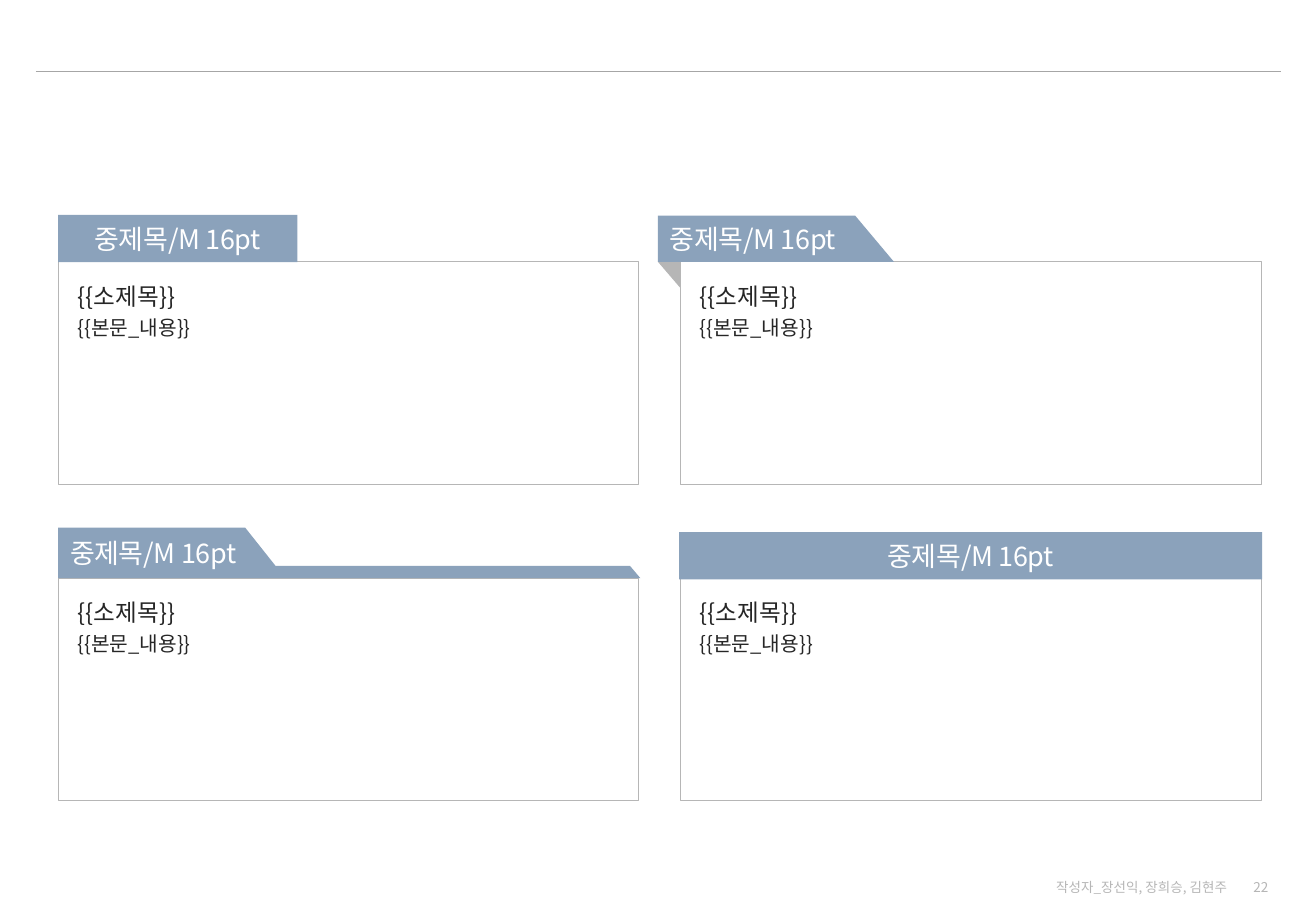
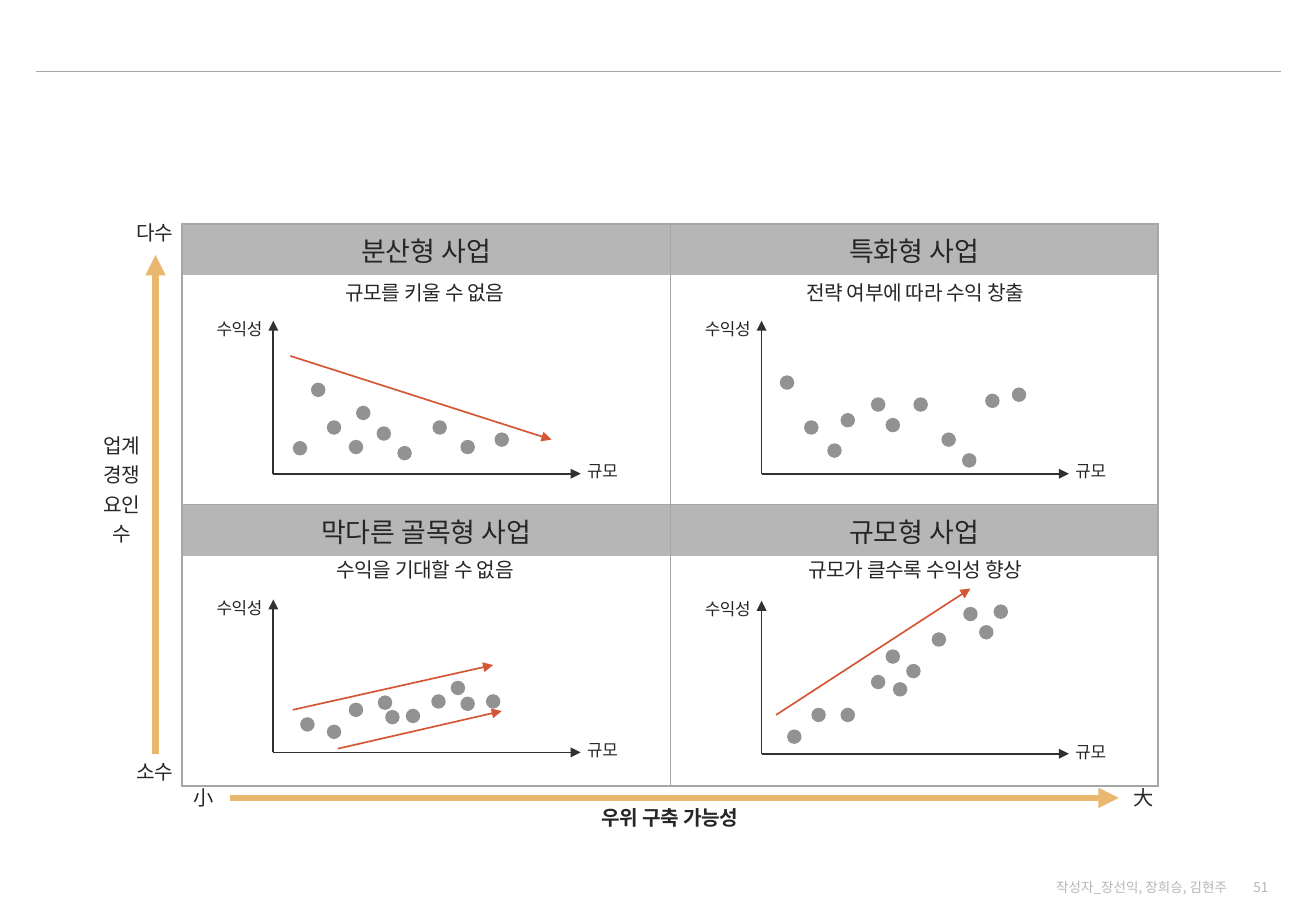
from lxml import etree
from pptx import Presentation
from pptx.dml.color import RGBColor
from pptx.enum.shapes import MSO_CONNECTOR, MSO_SHAPE
from pptx.enum.text import MSO_ANCHOR, PP_ALIGN
from pptx.oxml.ns import qn
from pptx.util import Pt

LEFT, CENTER, RIGHT = PP_ALIGN.LEFT, PP_ALIGN.CENTER, PP_ALIGN.RIGHT
TOP, MIDDLE = MSO_ANCHOR.TOP, MSO_ANCHOR.MIDDLE
RECTANGLE, OVAL = MSO_SHAPE.RECTANGLE, MSO_SHAPE.OVAL
STRAIGHT = MSO_CONNECTOR.STRAIGHT

FONT = "Noto Sans CJK KR"
INK, AXIS, WHITE = "262626", "313131", "FFFFFF"
GRAY, RULE, DOT = "B6B6B6", "A6A6A6", "929292"
BLUE, ORANGE, RED = "8BA2BB", "E9B86E", "D55633"
AUTHORS = "작성자_장선익, 장희승, 김현주"


def color(hex_string):
    return RGBColor.from_string(hex_string)


def write(frame, text, sizes=(12,), ink=INK, align=CENTER, anchor=MIDDLE,
          bold=False, spacing=None, tracking=0, margins=(7.2, 3.6), wrap=True):
    frame.word_wrap = wrap
    frame.vertical_anchor = anchor
    frame.margin_left = frame.margin_right = Pt(margins[0])
    frame.margin_top = frame.margin_bottom = Pt(margins[1])
    for index, line in enumerate(text.split("\n")):
        paragraph = frame.add_paragraph() if index else frame.paragraphs[0]
        paragraph.alignment = align
        if spacing:
            paragraph.line_spacing = spacing
        run = paragraph.add_run()
        run.text = line
        run.font.size = Pt(sizes[min(index, len(sizes) - 1)])
        run.font.bold = bold
        run.font.color.rgb = color(ink)
        run.font.name = FONT
        properties = run.font._element
        etree.SubElement(properties, qn("a:ea")).set("typeface", FONT)
        if tracking:
            properties.set("spc", str(round(tracking * 100)))


def set_borders(cell, **widths):
    properties = cell._tc.get_or_add_tcPr()
    for position, side in enumerate("LRTB"):
        width = widths[side]
        line = etree.Element(qn(f"a:ln{side}"))
        line.set("w", str(Pt(width)))
        if width:
            fill = etree.SubElement(line, qn("a:solidFill"))
            etree.SubElement(fill, qn("a:srgbClr")).set("val", RULE)
        else:
            etree.SubElement(line, qn("a:noFill"))
        properties.insert(position, line)


class Deck:
    def __init__(self):
        self.presentation = Presentation()
        self.presentation.slide_width = Pt(780)
        self.presentation.slide_height = Pt(540)
        self.slide = None

    def start(self, number):
        layout = self.presentation.slide_layouts[6]
        self.slide = self.presentation.slides.add_slide(layout)
        self.line((21.3, 42.5), (759, 42.5), RULE, 0.75)
        self.text(number, 729.4, 520, 29.5, 11.5, sizes=(8,), ink=GRAY, align=RIGHT)
        self.text(AUTHORS, 613.4, 520, 121, 11.5, sizes=(8,), ink=GRAY, align=RIGHT)

    def paint(self, shape, fill=None, outline=None):
        shape.shadow.inherit = False
        if fill:
            shape.fill.solid()
            shape.fill.fore_color.rgb = color(fill)
        else:
            shape.fill.background()
        if outline:
            shape.line.color.rgb = color(outline)
            shape.line.width = Pt(0.5)
        else:
            shape.line.fill.background()
        return shape

    def shape(self, kind, left, top, width, height, **style):
        shape = self.slide.shapes.add_shape(kind, Pt(left), Pt(top), Pt(width), Pt(height))
        return self.paint(shape, **style)

    def outline(self, points, fill):
        corners = [(Pt(x), Pt(y)) for x, y in points]
        builder = self.slide.shapes.build_freeform(*corners[0])
        builder.add_line_segments(corners[1:], close=True)
        return self.paint(builder.convert_to_shape(), fill)

    def text(self, text, left, top, width, height, **style):
        box = self.slide.shapes.add_textbox(Pt(left), Pt(top), Pt(width), Pt(height))
        write(box.text_frame, text, **style)

    def line(self, begin, end, ink, width, arrow=False):
        connector = self.slide.shapes.add_connector(
            STRAIGHT, *(Pt(value) for value in (*begin, *end)))
        connector.line.color.rgb = color(ink)
        connector.line.width = Pt(width)
        if arrow:
            tail = etree.SubElement(connector.line._get_or_add_ln(), qn("a:tailEnd"))
            tail.set("type", "triangle")
        etree.SubElement(connector._element.spPr, qn("a:effectLst"))

    def table(self, titles, left, top, widths, heights):
        rows, columns = len(heights), len(widths)
        table = self.slide.shapes.add_table(
            rows, columns, Pt(left), Pt(top), Pt(sum(widths)), Pt(sum(heights))).table
        table.first_row = table.horz_banding = False
        for column, width in enumerate(widths):
            table.columns[column].width = Pt(width)
        for row, height in enumerate(heights):
            table.rows[row].height = Pt(height)
            heading = row % 2 == 0
            for column in range(columns):
                cell = table.cell(row, column)
                cell.fill.solid()
                cell.fill.fore_color.rgb = color(GRAY if heading else WHITE)
                if heading:
                    write(cell.text_frame, titles[row // 2][column], sizes=(16,))
                    cell.vertical_anchor = MIDDLE
                set_borders(
                    cell,
                    L=0.75 if column else 1.47,
                    R=1.47 if column == columns - 1 else 0.75,
                    T=1.47 if row == 0 else 0.75 if heading else 0,
                    B=0 if heading else 1.47 if row == rows - 1 else 0.75)

    def panel(self, left, top):
        panel = self.shape(RECTANGLE, left, top, 344.2, 131.8, outline=GRAY)
        write(panel.text_frame, "{{소제목}}\n{{본문_내용}}", sizes=(14, 12), align=LEFT,
              anchor=TOP, spacing=1.2, margins=(11.5, 8.6))

    def heading(self, shape, align):
        write(shape.text_frame, "중제목/M 16pt", sizes=(16,), ink=WHITE, align=align,
              tracking=-0.2)

    def plot(self, left, base, dots, trends):
        def place(point):
            return left + point[0], base - point[1]

        for tip in ((0, 90.7), (182.2, 0)):
            self.line((left, base), place(tip), AXIS, 1, arrow=True)
        label = dict(sizes=(10,), tracking=-0.2, wrap=False)
        self.text("수익성", left - 41, base - 95, 41.8, 18.7, **label)
        self.text("규모", left + 178.6, base - 10.8, 33.1, 18.7, **label)
        for dot in dots:
            x, y = place(dot)
            self.shape(OVAL, x - 4.3, y - 4.3, 8.6, 8.6, fill=DOT)
        for begin, end in trends:
            self.line(place(begin), place(end), RED, 1, arrow=True)


def build_panels(deck):
    deck.start("22")
    left, right, upper, lower = 34.5, 403.2, 155.2, 342.7
    for top in (upper, lower):
        for x in (left, right):
            deck.panel(x, top)

    deck.heading(deck.shape(RECTANGLE, left, 127.4, 141.8, 28, fill=BLUE), CENTER)

    fold = right - 13.2
    deck.outline([(right, upper), (fold, upper), (right, 170.6)], GRAY)
    ribbon = [(fold, upper), (fold, 127.8), (506.9, 127.8), (529.9, upper)]
    folder = [(left, lower), (left, 312.8), (145.4, 312.8), (163.4, 335.5),
              (373.5, 335.5), (379.6, lower)]
    for points in (ribbon, folder):
        deck.heading(deck.outline(points, BLUE), LEFT)

    deck.heading(deck.shape(RECTANGLE, 402.5, 315.4, 345.6, 28, fill=BLUE), CENTER)


def build_matrix(deck):
    deck.start("51")
    deck.table([("분산형 사업", "특화형 사업"), ("막다른 골목형 사업", "규모형 사업")],
               108, 132.8, (289.2, 289.2), (30.4, 136.1) * 2)

    deck.line((92.2, 447.1), (92.2, 151.2), ORANGE, 4, arrow=True)
    deck.line((136.1, 473), (663.1, 473), ORANGE, 4, arrow=True)
    for label, x, y in (("소수", 72, 446), ("다수", 72, 126.3),
                        ("小", 100.8, 461.8), ("大", 658.1, 461.8)):
        deck.text(label, x, y, 39.6, 22.3, tracking=-0.2)
    deck.text("업계\n경쟁\n요인\n수", 25.2, 249.1, 94.3, 79.2, spacing=1.2, tracking=-0.2)
    deck.text("우위 구축 가능성", 326.9, 472.3, 140.4, 24.5, bold=True, tracking=-0.2)

    caption_width = 200
    for caption, center, y in (("규모를 키울 수 없음", 252, 162.7),
                               ("전략 여부에 따라 수익 창출", 542.5, 162.7),
                               ("수익을 기대할 수 없음", 252, 326.9),
                               ("규모가 클수록 수익성 향상", 542.5, 326.9)):
        deck.text(caption, center - caption_width / 2, y, caption_width, 21.6,
                  tracking=-0.2, wrap=False)

    deck.plot(162, 280.8,
              [(15.8, 15.1), (26.6, 49.7), (36, 27.4), (49, 15.8), (53.3, 36),
               (65.5, 23.8), (77.8, 12.2), (98.6, 27.4), (115.2, 15.8), (135.4, 20.2)],
              [((10.1, 69.8), (164.9, 20.2))])
    deck.plot(451.4, 280.8,
              [(15.1, 54), (29.5, 27.4), (51.1, 31.7), (43.2, 13.7), (69.1, 41),
               (77.8, 28.8), (94.3, 41), (110.9, 20.2), (123.1, 7.9), (136.8, 43.2),
               (152.6, 46.8)],
              [])
    deck.plot(162, 446,
              [(20.2, 16.6), (36, 12.2), (49, 25.2), (66.2, 29.5), (82.8, 21.6),
               (70.6, 20.9), (97.9, 30.2), (115.2, 28.8), (109.4, 38.2), (130.3, 30.2)],
              [((11.5, 25.2), (130.3, 51.8)), ((38.2, 2.2), (135.4, 24.5))])
    deck.plot(451.4, 446.8,
              [(19.4, 10.1), (33.8, 23), (51.1, 23), (69.1, 42.5), (90, 49),
               (82.1, 38.2), (77.8, 57.6), (105.1, 67.7), (133.2, 72), (123.8, 82.8),
               (141.8, 84.2)],
              [((8.6, 23), (123.8, 97.9))])


def main():
    deck = Deck()
    build_panels(deck)
    build_matrix(deck)
    deck.presentation.save("out.pptx")


if __name__ == "__main__":
    main()
